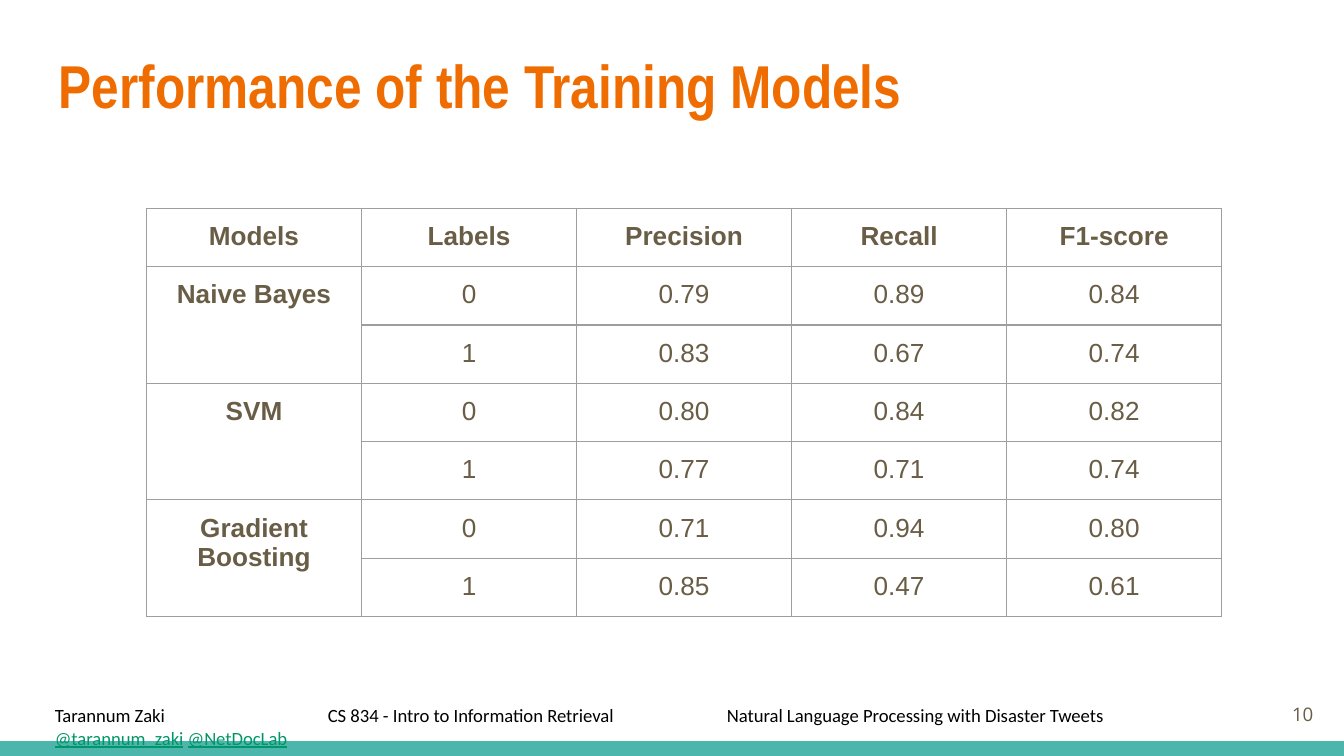
from lxml.etree import SubElement
from pptx import Presentation
from pptx.dml.color import RGBColor
from pptx.enum.shapes import MSO_SHAPE
from pptx.enum.text import MSO_ANCHOR, PP_ALIGN
from pptx.oxml.ns import qn
from pptx.util import Inches, Pt

WIDTH = 10
HEIGHT = WIDTH * 9 / 16
MARGIN = Inches(0.1)
ORANGE = RGBColor(0xEF, 0x6C, 0x00)
BROWN = RGBColor(0x69, 0x5D, 0x46)
TEAL = RGBColor(0x4D, 0xB6, 0xAC)
GREEN = RGBColor(0x00, 0x96, 0x68)
BLACK = RGBColor(0x00, 0x00, 0x00)
GRAY = RGBColor(0x9E, 0x9E, 0x9E)

HEADINGS = ["Models", "Labels", "Precision", "Recall", "F1-score"]
SCORES = {
    "Naive Bayes": [["0.79", "0.89", "0.84"], ["0.83", "0.67", "0.74"]],
    "SVM": [["0.80", "0.84", "0.82"], ["0.77", "0.71", "0.74"]],
    "Gradient Boosting": [["0.71", "0.94", "0.80"], ["0.85", "0.47", "0.61"]],
}


def add_run(paragraph, text, size, font_name, color, bold=False, underline=False):
    run = paragraph.add_run()
    run.text = text
    font = run.font
    font.size, font.name = Pt(size), font_name
    font.bold, font.underline = bold, underline
    font.color.rgb = color


def add_text_box(slide, box, anchor=MSO_ANCHOR.TOP):
    shape = slide.shapes.add_textbox(*map(Inches, box))
    frame = shape.text_frame
    frame.word_wrap = True
    frame.vertical_anchor = anchor
    frame.margin_left = frame.margin_right = MARGIN
    frame.margin_top = frame.margin_bottom = MARGIN
    return frame.paragraphs[0]


def add_bottom_bar(slide, box):
    bar = slide.shapes.add_shape(MSO_SHAPE.RECTANGLE, *map(Inches, box))
    bar.shadow.inherit = False
    bar.fill.solid()
    bar.fill.fore_color.rgb = TEAL
    bar.line.fill.background()


def add_title(slide, box):
    paragraph = add_text_box(slide, box)
    add_run(paragraph, "Performance of the Training Models", 32.4, "Arial Narrow", ORANGE, bold=True)


def add_page_number(slide, box):
    paragraph = add_text_box(slide, box, MSO_ANCHOR.MIDDLE)
    paragraph.alignment = PP_ALIGN.RIGHT
    add_run(paragraph, "10", 10, "Open Sans", BROWN)


def add_footer(slide, box):
    paragraph = add_text_box(slide, box)
    properties = paragraph._p.get_or_add_pPr()
    tab_stops = SubElement(properties, qn("a:tabLst"))
    for position in range(1, WIDTH):
        SubElement(tab_stops, qn("a:tab"), pos=str(Inches(position)), algn="l")
    credits = (
        "Tarannum Zaki\t\t CS 834 - Intro to Information Retrieval"
        "\tNatural Language Processing with Disaster Tweets\t\t"
    )
    add_run(paragraph, credits, 10, "Calibri", BLACK)
    add_run(paragraph, "@tarannum_zaki", 10, "Calibri", GREEN, underline=True)
    add_run(paragraph, " ", 10, "Calibri", BLACK)
    add_run(paragraph, "@NetDocLab", 10, "Calibri", GREEN, underline=True)


def style_cell(cell):
    properties = cell._tc.get_or_add_tcPr()
    for side in ("a:lnL", "a:lnR", "a:lnT", "a:lnB"):
        line = SubElement(properties, qn(side), w=str(Pt(0.75)))
        fill = SubElement(line, qn("a:solidFill"))
        SubElement(fill, qn("a:srgbClr"), val=str(GRAY))
    cell.fill.background()
    cell.margin_left = cell.margin_right = MARGIN
    cell.margin_top = cell.margin_bottom = MARGIN


def write_cell(cell, text, bold):
    paragraph = cell.text_frame.paragraphs[0]
    paragraph.alignment = PP_ALIGN.CENTER
    add_run(paragraph, text, 14, "Arial", BROWN, bold)


def add_score_table(slide, box):
    rows = [HEADINGS]
    for model, results in SCORES.items():
        for label, values in enumerate(results):
            rows.append([model if label == 0 else "", str(label), *values])
    frame = slide.shapes.add_table(len(rows), len(HEADINGS), *map(Inches, box))
    table = frame.table
    table.first_row = table.horz_banding = False
    for row_index, row in enumerate(rows):
        for column_index, text in enumerate(row):
            cell = table.cell(row_index, column_index)
            style_cell(cell)
            if text:
                write_cell(cell, text, bold=row_index == 0 or column_index == 0)
    for row_index in range(1, len(rows), 2):
        table.cell(row_index, 0).merge(table.cell(row_index + 1, 0))


def main():
    presentation = Presentation()
    presentation.slide_width = Inches(WIDTH)
    presentation.slide_height = Inches(HEIGHT)
    slide = presentation.slides.add_slide(presentation.slide_layouts[6])
    bar_height = 0.11
    add_bottom_bar(slide, (0, HEIGHT - bar_height, WIDTH, bar_height))
    add_title(slide, (0.34, 0.26, 9.32, 0.77))
    add_page_number(slide, (9.27, 5.1, 0.6, 0.43))
    add_footer(slide, (0.31, 5.14, 9.56, 0.37))
    add_score_table(slide, (1.09, 1.55, WIDTH * 0.8, 7 * 0.42))
    presentation.save("out.pptx")


if __name__ == "__main__":
    main()
